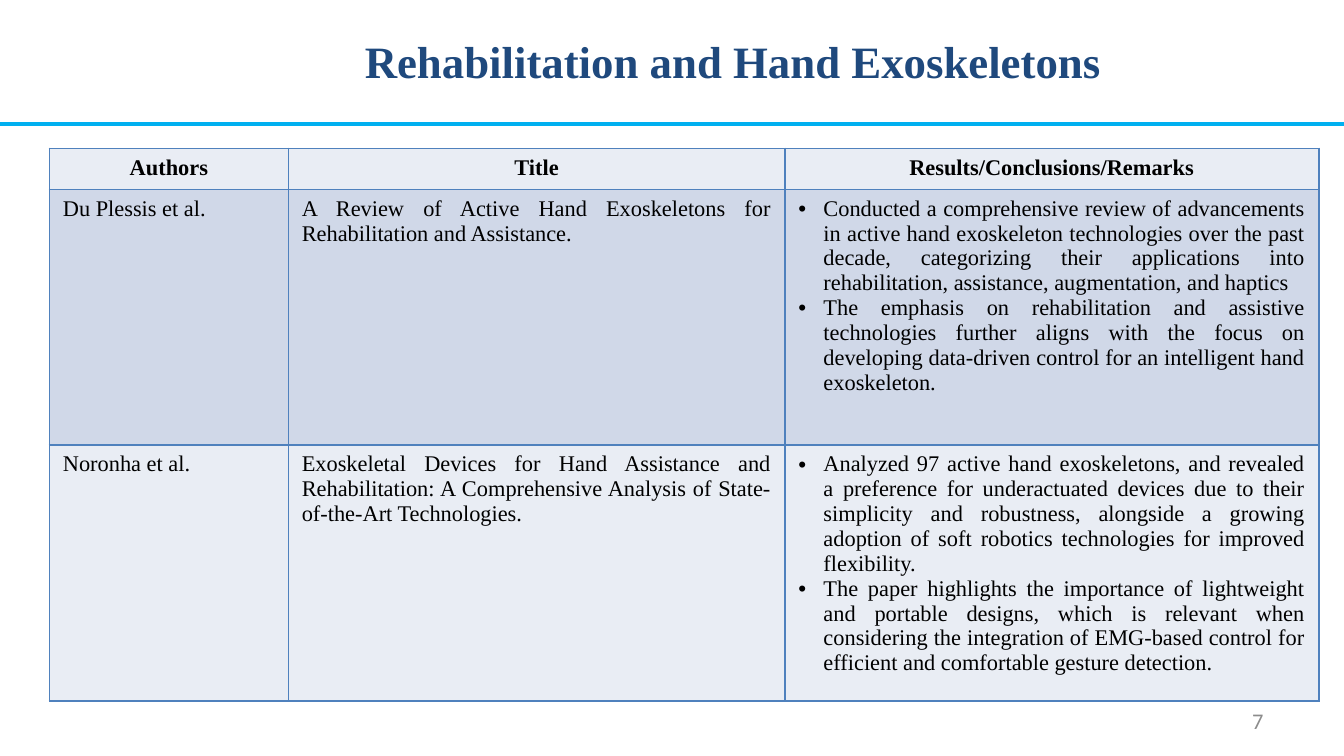
from dataclasses import dataclass

from lxml import etree
from pptx import Presentation
from pptx.dml.color import RGBColor
from pptx.enum.shapes import MSO_CONNECTOR
from pptx.enum.text import MSO_ANCHOR, MSO_AUTO_SIZE, PP_ALIGN
from pptx.oxml.ns import qn
from pptx.util import Pt

LEFT, MID, RIGHT, FULL = PP_ALIGN.LEFT, PP_ALIGN.CENTER, PP_ALIGN.RIGHT, PP_ALIGN.JUSTIFY
MIDDLE = MSO_ANCHOR.MIDDLE
NO_FIT = MSO_AUTO_SIZE.NONE
STRAIGHT = MSO_CONNECTOR.STRAIGHT

HEADS = ["Authors", "Title", "Results/Conclusions/Remarks"]
PAPERS = [
    (
        "Du Plessis et al.",
        "A Review of Active Hand Exoskeletons for Rehabilitation and Assistance.",
        [
            "Conducted a comprehensive review of advancements in active hand exoskeleton "
            "technologies over the past decade, categorizing their applications into "
            "rehabilitation, assistance, augmentation, and haptics",
            "The emphasis on rehabilitation and assistive technologies further aligns with "
            "the focus on developing data-driven control for an intelligent hand exoskeleton.",
        ],
    ),
    (
        "Noronha et al.",
        "Exoskeletal Devices for Hand Assistance and Rehabilitation: A Comprehensive "
        "Analysis of State-of-the-Art Technologies.",
        [
            "Analyzed 97 active hand exoskeletons, and revealed a preference for "
            "underactuated devices due to their simplicity and robustness, alongside a "
            "growing adoption of soft robotics technologies for improved flexibility.",
            "The paper highlights the importance of lightweight and portable designs, which "
            "is relevant when considering the integration of EMG-based control for "
            "efficient and comfortable gesture detection.",
        ],
    ),
]


@dataclass(frozen=True)
class Theme:
    """Colours, fonts and type sizes of the deck."""

    title: str = "1F497D"
    text: str = "000000"
    muted: str = "8C8C8C"
    rule: str = "00B0F0"
    grid: str = "4F81BD"
    light: str = "E9EDF4"
    dark: str = "D0D8E8"
    serif: str = "Times New Roman"
    sans: str = "Calibri"
    large: int = 24
    small: int = 12


def write(frame, text, *, font, size, color, bold=False, align=LEFT,
          margin=0, indent=0, bullet=False):
    """Fill a text frame with one paragraph per string and return them."""
    lines = [text] if isinstance(text, str) else text
    frame.text = "\n".join(lines)
    for para in frame.paragraphs:
        para.alignment = align
        style = para.runs[0].font
        style.name, style.size, style.bold = font, Pt(size), bold
        style.color.rgb = RGBColor.from_string(color)
        props = para._p.get_or_add_pPr()
        props.set("marL", str(Pt(margin)))
        props.set("indent", str(Pt(indent)))
        if bullet:
            etree.SubElement(props, qn("a:buFont"), typeface="Arial")
            etree.SubElement(props, qn("a:buChar"), char="•")
    return frame.paragraphs


class Page:
    """Draws elements on one slide in the style of a theme."""

    def __init__(self, slide, theme):
        """Keep the slide and its theme."""
        self.slide, self.theme = slide, theme

    def title(self, text, left, top, width, height):
        """Place and format the title."""
        look, shape = self.theme, self.slide.shapes.title
        shape.left, shape.top = Pt(left), Pt(top)
        shape.width, shape.height = Pt(width), Pt(height)
        frame = shape.text_frame
        frame.auto_size, frame.vertical_anchor = NO_FIT, MIDDLE
        for para in write(frame, text, font=look.serif, size=look.large,
                          color=look.title, bold=True, align=MID, margin=36):
            para.line_spacing = 1.07
            para.space_before = para.space_after = Pt(10)

    def number(self, text, left, top, width, height):
        """Add the page number."""
        look = self.theme
        box = self.slide.shapes.add_textbox(Pt(left), Pt(top), Pt(width), Pt(height))
        frame = box.text_frame
        frame.word_wrap, frame.vertical_anchor = True, MIDDLE
        write(frame, text, font=look.sans, size=look.small, color=look.muted, align=RIGHT)

    def rule(self, top, width):
        """Draw a rule from the left edge."""
        line = self.slide.shapes.add_connector(STRAIGHT, 0, Pt(top), Pt(width), Pt(top))
        line.line.color.rgb = RGBColor.from_string(self.theme.rule)
        line.line.width = Pt(2.25)
        etree.SubElement(line._element.spPr, qn("a:effectLst"))

    def cell(self, cell, text, fill, **style):
        """Write, frame and fill one table cell."""
        look = self.theme
        write(cell.text_frame, text, font=look.serif, size=look.small,
              color=look.text, **style)
        props = cell._tc.get_or_add_tcPr()
        for side in ("lnL", "lnR", "lnT", "lnB"):
            edge = etree.SubElement(props, qn(f"a:{side}"), w=str(Pt(1)))
            solid = etree.SubElement(edge, qn("a:solidFill"))
            etree.SubElement(solid, qn("a:srgbClr"), val=look.grid)
        cell.fill.solid()
        cell.fill.fore_color.rgb = RGBColor.from_string(fill)

    def table(self, heads, rows, left, top, widths, heights):
        """Add a table with a head row and banded body rows."""
        look = self.theme
        table = self.slide.shapes.add_table(
            len(heights), len(widths), Pt(left), Pt(top),
            Pt(sum(widths)), Pt(sum(heights))).table
        for col, width in zip(table.columns, widths):
            col.width = Pt(width)
        for row, height in zip(table.rows, heights):
            row.height = Pt(height)
        for col, head in enumerate(heads):
            self.cell(table.cell(0, col), head, look.light, bold=True, align=MID)
        styles = [
            {},
            {"align": FULL},
            {"align": FULL, "margin": 13.5, "indent": -13.5, "bullet": True},
        ]
        for row, texts in enumerate(rows, 1):
            fill = look.dark if row % 2 else look.light
            for col, (text, style) in enumerate(zip(texts, styles)):
                self.cell(table.cell(row, col), text, fill, **style)


def main():
    """Build and save the slide."""
    deck = Presentation()
    deck.slide_width, deck.slide_height = Pt(720), Pt(405)
    page = Page(deck.slides.add_slide(deck.slide_layouts[5]), Theme())
    page.title("Rehabilitation and Hand Exoskeletons", 88, 15, 573, 33)
    page.number("7", 516, 375.5, 168, 21.5)
    page.rule(66.5, 720)
    page.table(HEADS, PAPERS, 26.5, 79.5, [128, 266, 286], [22, 137, 137])
    deck.save("out.pptx")


if __name__ == "__main__":
    main()
